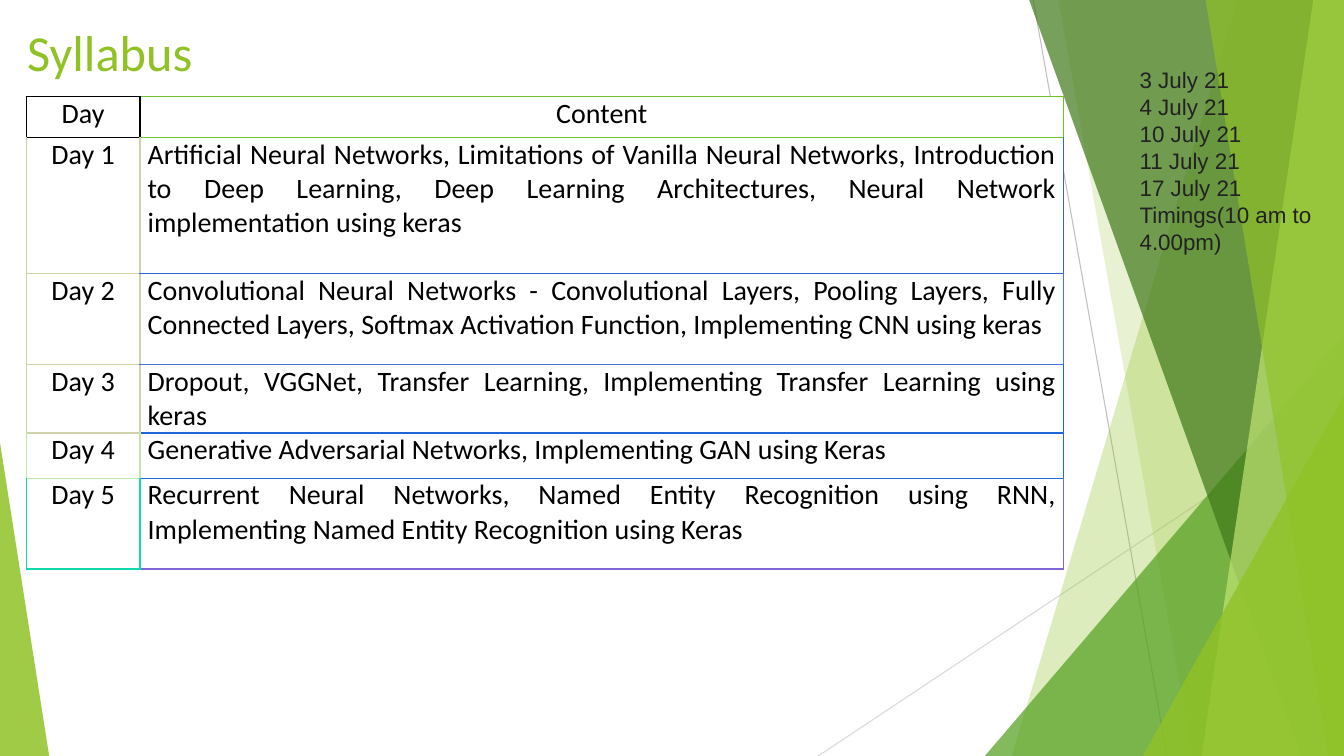
"""Build the syllabus slide with its green facets, timetable and dates."""
from typing import NamedTuple

from lxml import etree
from pptx import Presentation
from pptx.dml.color import RGBColor
from pptx.enum.shapes import MSO_CONNECTOR, MSO_SHAPE
from pptx.enum.text import MSO_ANCHOR, MSO_AUTO_SIZE, PP_ALIGN
from pptx.oxml.ns import qn
from pptx.util import Cm, Pt

TRIANGLE = MSO_SHAPE.ISOSCELES_TRIANGLE
STRAIGHT = MSO_CONNECTOR.STRAIGHT
TOP = MSO_ANCHOR.TOP
FIXED, GROW = MSO_AUTO_SIZE.NONE, MSO_AUTO_SIZE.SHAPE_TO_FIT_TEXT
LEFT, CENTER, JUSTIFY = PP_ALIGN.LEFT, PP_ALIGN.CENTER, PP_ALIGN.JUSTIFY

WIDTH, HEIGHT = 33.87, 19.05
GREEN, BLACK, WHITE = "90C226", "000000", "FFFFFF"


class Line(NamedTuple):
    """A thin line, in centimetres."""
    start: tuple[float, float]
    end: tuple[float, float]
    color: str


class Band(NamedTuple):
    """A full-height facet from a slanted left side to the right edge."""
    top: float
    foot: float
    color: str
    alpha: int


class Peak(NamedTuple):
    """A triangle that stands on the bottom edge."""
    left: float
    top: float
    width: float
    apex: int
    color: str
    alpha: int


class Row(NamedTuple):
    """A table row with the border colours of its two cells."""
    day: str
    content: str
    height: float
    edge: str
    rim: str


LINES = [
    Line((26.04, 0), (29.41, HEIGHT), "BFBFBF"),
    Line((WIDTH, 10.24), (20.62, HEIGHT), "D9D9D9"),
]
FACETS = [
    Band(31.19, 25.5, GREEN, 30),
    Band(26.67, 30.05, GREEN, 20),
    Peak(24.82, 8.46, 9.05, 1, "54A021", 72),
    Band(25.93, 32.79, "3F7819", 70),
    Band(33.1, 30.28, "C0E474", 70),
    Band(30.38, 33.48, GREEN, 65),
    Peak(28.8, 9.98, 5.07, 1, GREEN, 80),
    Peak(0, 11.15, 1.24, 0, GREEN, 85),
]
ROWS = [
    Row("Day", "Content", 1.02, BLACK, "70C125"),
    Row("Day 1", "Artificial Neural Networks, Limitations of Vanilla Neural "
        "Networks, Introduction to Deep Learning, Deep Learning Architectures, "
        "Neural Network implementation using keras", 3.43, "D0D1AD", "3066D7"),
    Row("Day 2", "Convolutional Neural Networks - Convolutional Layers, Pooling "
        "Layers, Fully Connected Layers, Softmax Activation Function, "
        "Implementing CNN using keras", 2.29, "D0D1AD", "4077D7"),
    Row("Day 3", "Dropout, VGGNet, Transfer Learning, Implementing "
        "Transfer Learning using keras", 1.14, "D0D1AD", "2063D7"),
    Row("Day 4", "Generative Adversarial Networks, Implementing GAN using Keras",
        1.14, "C0E6AD", "2071D7"),
    Row("Day 5", "Recurrent Neural Networks, Named Entity Recognition using RNN, "
        "Implementing Named Entity Recognition using Keras",
        2.29, "10D8AD", "8067D7"),
]
COLUMNS = [2.87, 23.27]
DATES = ["3 July 21", "4 July 21", "10 July 21", "11 July 21", "17 July 21",
         "Timings(10 am to 4.00pm)"]


def paint(fmt, color: str) -> None:
    """Give a fill a solid colour."""
    fmt.solid()
    fmt.fore_color.rgb = RGBColor.from_string(color)


def write(frame, *texts: str, size: float, color: str, font: str = "Calibri",
          align=LEFT) -> None:
    """Write one formatted paragraph for each text."""
    frame.word_wrap = True
    for i, text in enumerate(texts):
        para = frame.add_paragraph() if i else frame.paragraphs[0]
        para.alignment = align
        run = para.add_run()
        run.text = text
        run.font.name, run.font.size = font, Pt(size)
        run.font.bold = False
        run.font.color.rgb = RGBColor.from_string(color)


def draw_line(shapes, line: Line) -> None:
    """Draw a thin line without shadow."""
    link = shapes.add_connector(STRAIGHT, *map(Cm, line.start + line.end))
    paint(link.line.fill, line.color)
    link.line.width = Pt(0.75)
    etree.SubElement(link.element.spPr, qn("a:effectLst"))


def draw_facet(shapes, facet: Band | Peak) -> None:
    """Draw a see-through facet."""
    if isinstance(facet, Band):
        pen = shapes.build_freeform(Cm(facet.top), Cm(-0.02))
        pen.add_line_segments([
            (Cm(WIDTH), Cm(-0.02)), (Cm(WIDTH), Cm(HEIGHT)),
            (Cm(facet.foot), Cm(HEIGHT))], close=True)
        shape = pen.convert_to_shape()
    else:
        shape = shapes.add_shape(TRIANGLE, Cm(facet.left), Cm(facet.top),
                                 Cm(facet.width), Cm(HEIGHT - facet.top))
        shape.adjustments[0] = facet.apex
    shape.shadow.inherit = False
    shape.line.fill.background()
    paint(shape.fill, facet.color)
    tint = shape.element.spPr.find(qn("a:solidFill"))[0]
    etree.SubElement(tint, qn("a:alpha"), val=str(facet.alpha * 1000))


def edge_cell(cell, **sides: str) -> None:
    """Set the border colour of each side, named L, R, T and B."""
    props = cell._tc.get_or_add_tcPr()
    for i, (side, color) in enumerate(sides.items()):
        line = etree.Element(qn(f"a:ln{side}"), w=str(Pt(1)))
        fill = etree.SubElement(line, qn("a:solidFill"))
        etree.SubElement(fill, qn("a:srgbClr"), val=color)
        props.insert(i, line)


def draw_table(shapes) -> None:
    """Draw the timetable; each row shares its top border with the one above."""
    table = shapes.add_table(
        len(ROWS), len(COLUMNS), Cm(0.66), Cm(2.44), Cm(sum(COLUMNS)),
        Cm(sum(row.height for row in ROWS))).table
    table.first_row = table.horz_banding = False
    for col, width in zip(table.columns, COLUMNS):
        col.width = Cm(width)
    for i, row in enumerate(ROWS):
        table.rows[i].height = Cm(row.height)
        above = ROWS[max(i - 1, 0)]
        day, body = table.cell(i, 0), table.cell(i, 1)
        for cell, text, align in ((day, row.day, CENTER),
                                  (body, row.content, JUSTIFY if i else CENTER)):
            cell.margin_left = cell.margin_right = Cm(0.19)
            cell.margin_top = cell.margin_bottom = Cm(0)
            paint(cell.fill, WHITE)
            write(cell.text_frame, text, size=20, color=BLACK, align=align)
        edge_cell(day, L=row.edge, R=row.edge, T=above.edge, B=row.edge)
        edge_cell(body, L=row.edge, R=row.rim, T=above.rim, B=row.rim)


def main() -> None:
    """Build and save the slide."""
    deck = Presentation()
    deck.slide_width, deck.slide_height = Cm(WIDTH), Cm(HEIGHT)
    slide = deck.slides.add_slide(deck.slide_layouts[5])
    shapes = slide.shapes
    for line in LINES:
        draw_line(shapes, line)
    for facet in FACETS:
        draw_facet(shapes, facet)

    title = shapes.title
    title.element.getparent().append(title.element)
    title.left, title.top = Cm(0.43), Cm(0.41)
    title.width, title.height = Cm(23.88), Cm(3.66)
    title.text_frame.vertical_anchor = TOP
    title.text_frame.auto_size = FIXED
    write(title.text_frame, "Syllabus", size=36, color=GREEN)

    draw_table(shapes)
    dates = shapes.add_textbox(Cm(28.47), Cm(1.55), Cm(6.93), Cm(5.05))
    dates.text_frame.auto_size = GROW
    write(dates.text_frame, *DATES, size=16, color="222222", font="Arial")
    deck.save("out.pptx")


if __name__ == "__main__":
    main()
